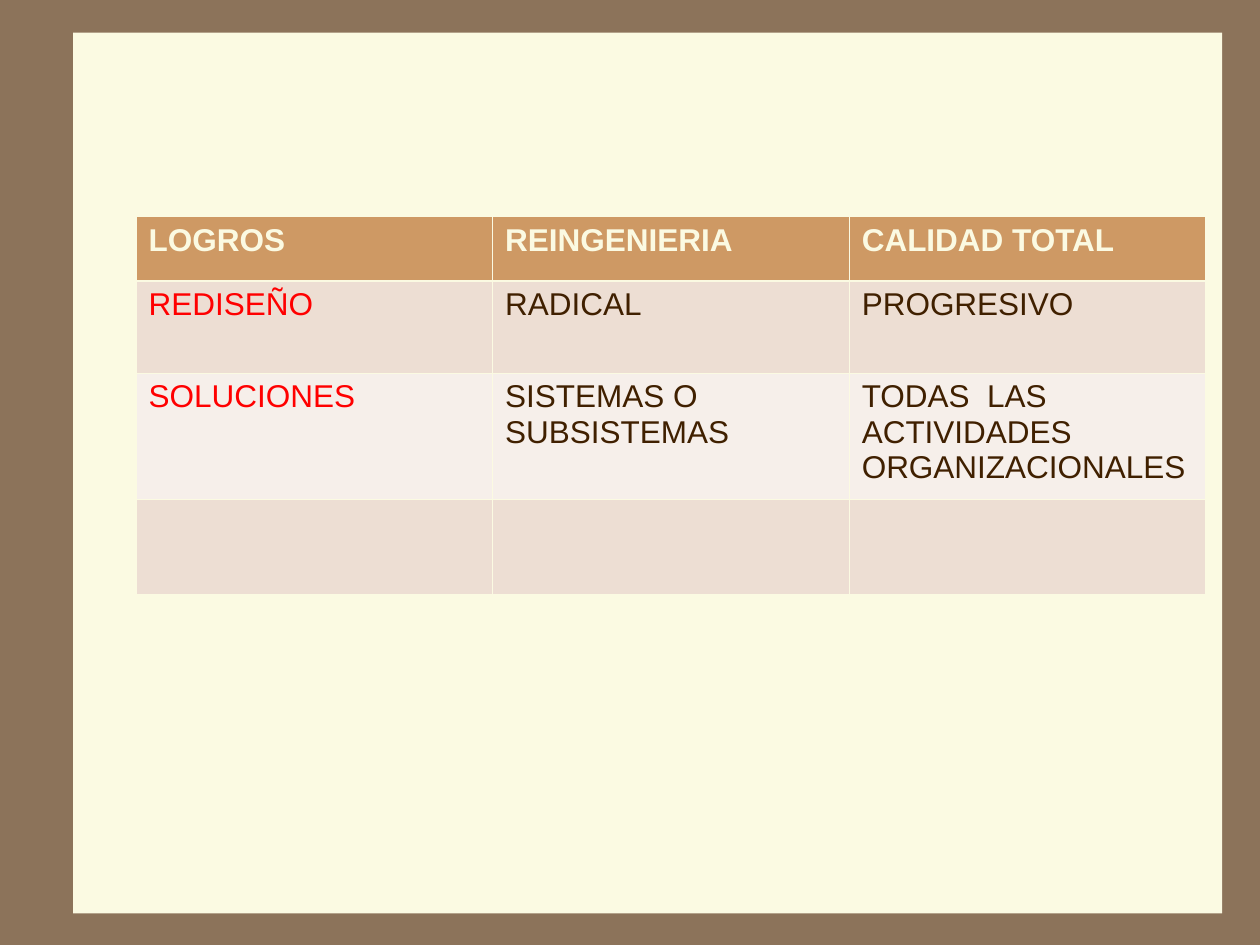
from dataclasses import dataclass

import pptx
import pptx.dml.color
import pptx.enum.shapes
import pptx.oxml
import pptx.oxml.ns
import pptx.util

Inches = pptx.util.Inches
Pt = pptx.util.Pt
RGBColor = pptx.dml.color.RGBColor

BROWN = RGBColor(0x8C, 0x73, 0x5A)
CREAM = RGBColor(0xFB, 0xFA, 0xE2)
ORANGE = RGBColor(0xCE, 0x99, 0x64)
BAND_DARK = RGBColor(0xED, 0xDE, 0xD3)
BAND_LIGHT = RGBColor(0xF6, 0xEF, 0xEA)
RED = RGBColor(0xFF, 0x00, 0x00)
DARK = RGBColor(0x40, 0x20, 0x00)

THIN = 0.45
THICK = 1.47
COLUMN_WIDTH = 2.83


@dataclass(frozen=True)
class Row:
    height: float
    fill: RGBColor
    texts: tuple[str, str, str]
    label_color: RGBColor = RED
    text_color: RGBColor = DARK
    bold: bool = False
    top: float = THIN
    bottom: float = THIN


ROWS = (
    Row(0.51, ORANGE, ("LOGROS", "REINGENIERIA", "CALIDAD TOTAL"),
        CREAM, CREAM, bold=True, bottom=THICK),
    Row(0.73, BAND_DARK, ("REDISEÑO", "RADICAL", "PROGRESIVO"), top=THICK),
    Row(1, BAND_LIGHT, ("SOLUCIONES", "SISTEMAS O SUBSISTEMAS",
                        "TODAS  LAS ACTIVIDADES ORGANIZACIONALES")),
    Row(0.76, BAND_DARK, ("", "", "")),
)


def set_borders(cell: pptx.table._Cell, top: float, bottom: float) -> None:
    tc_pr = cell._tc.get_or_add_tcPr()
    edges = (("lnL", THIN), ("lnR", THIN), ("lnT", top), ("lnB", bottom))
    for i, (tag, width) in enumerate(edges):
        ln = pptx.oxml.parse_xml(
            f'<a:{tag} {pptx.oxml.ns.nsdecls("a")} w="{int(Pt(width))}">'
            f'<a:solidFill><a:srgbClr val="{CREAM}"/></a:solidFill></a:{tag}>'
        )
        tc_pr.insert(i, ln)


def fill_cell(cell: pptx.table._Cell, row: Row, text: str, color: RGBColor) -> None:
    cell.fill.solid()
    cell.fill.fore_color.rgb = row.fill
    set_borders(cell, row.top, row.bottom)
    if text:
        r = cell.text_frame.paragraphs[0].add_run()
        r.text = text
        r.font.name = "Arial"
        r.font.size = Pt(18)
        r.font.bold = row.bold
        r.font.color.rgb = color


def add_panel(s: pptx.slide.Slide) -> None:
    sp = s.shapes.add_shape(
        pptx.enum.shapes.MSO_SHAPE.RECTANGLE,
        Inches(0.58), Inches(0.26), Inches(9.12), Inches(6.99),
    )
    sp.shadow.inherit = False
    sp.fill.solid()
    sp.fill.fore_color.rgb = CREAM
    sp.line.fill.background()


def add_comparison(s: pptx.slide.Slide) -> None:
    columns = len(ROWS[0].texts)
    table = s.shapes.add_table(
        len(ROWS), columns, Inches(1.08), Inches(1.72),
        Inches(columns * COLUMN_WIDTH), Inches(sum(row.height for row in ROWS)),
    ).table
    for column in table.columns:
        column.width = Inches(COLUMN_WIDTH)
    for i, row in enumerate(ROWS):
        table.rows[i].height = Inches(row.height)
        for j, text in enumerate(row.texts):
            color = row.text_color if j else row.label_color
            fill_cell(table.cell(i, j), row, text, color)


def main() -> None:
    prs = pptx.Presentation()
    prs.slide_width = Inches(10)
    prs.slide_height = Inches(7.5)
    s = prs.slides.add_slide(prs.slide_layouts[6])
    s.background.fill.solid()
    s.background.fill.fore_color.rgb = BROWN
    add_panel(s)
    add_comparison(s)
    prs.save("out.pptx")


if __name__ == "__main__":
    main()
